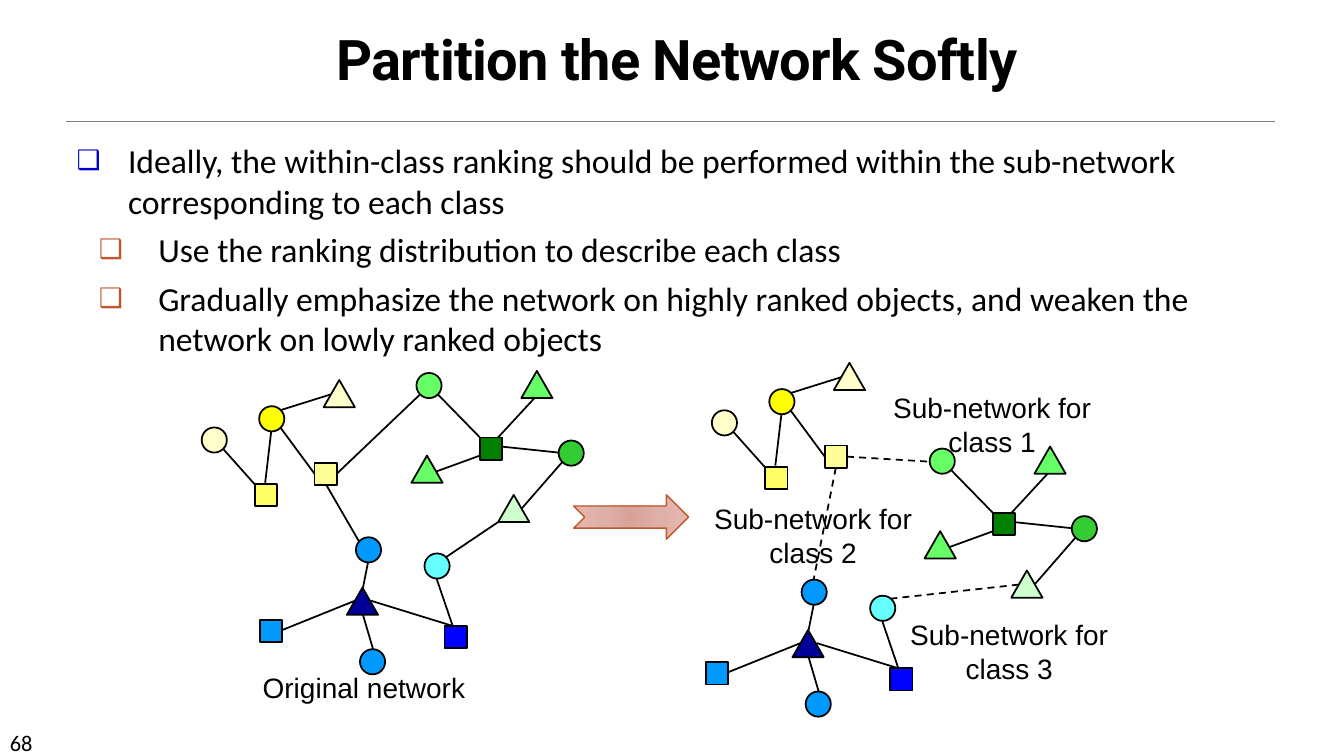
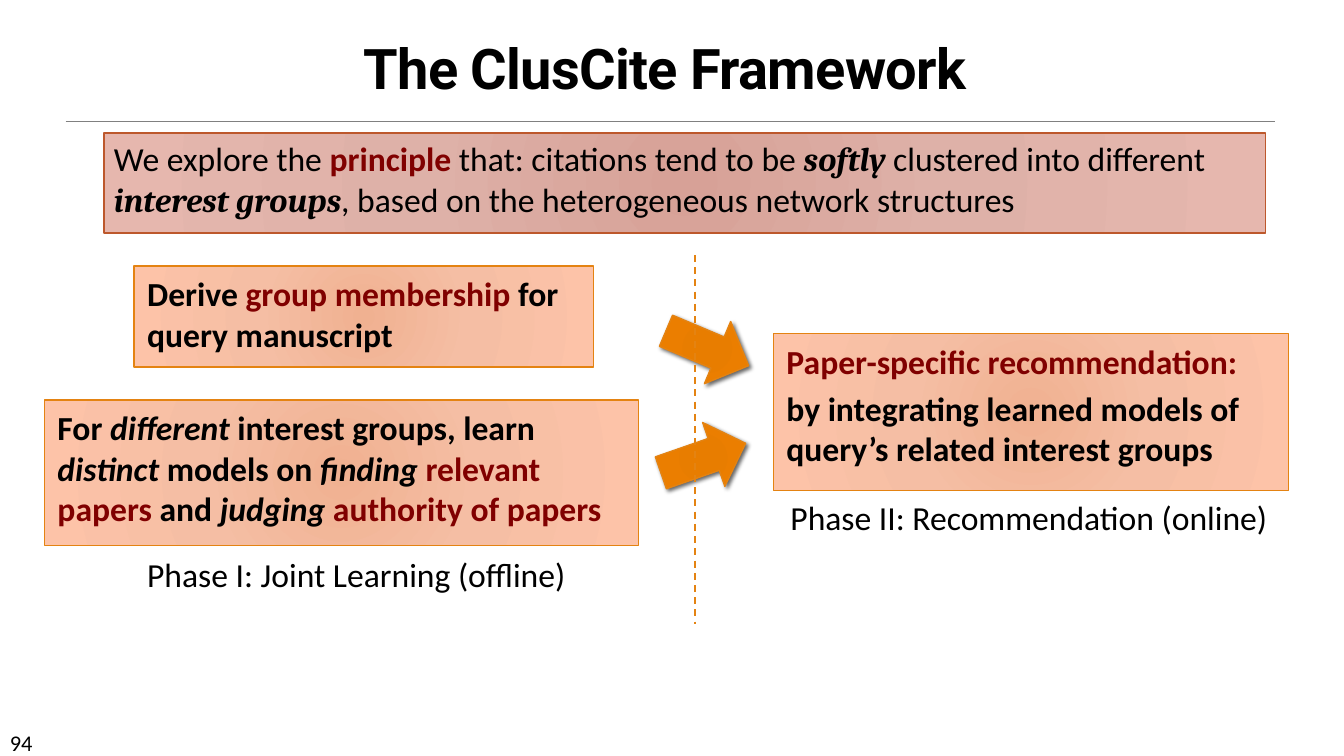
from pptx import Presentation
from pptx.dml.color import RGBColor
from pptx.enum.dml import MSO_LINE
from pptx.enum.shapes import MSO_CONNECTOR, MSO_SHAPE
from pptx.enum.text import MSO_ANCHOR, MSO_AUTO_SIZE, PP_ALIGN
from pptx.oxml.ns import qn
from pptx.util import Inches, Pt
from lxml.etree import SubElement

hue = RGBColor.from_string
BLACK, RED = "000000", "800000"
RUST, AMBER = "BD582C", "E48312"
ROSE = [(0, "D7A197"), (45, "DEB1A8"), (100, "E6B7AE")]
PEACH = [(0, "F0B191"), (45, "F5BEA4"), (100, "FDC3A8")]
FLAME = [(0, "E57B00"), (34, "E87D00"), (70, "EB7E00"), (100, "EF8407")]


def write(par, *parts, size=24, face="Calibri", bold=False, gap=0):
    par.space_before = Pt(gap)
    font = par.font
    font.size, font.name, font.bold = Pt(size), face, bold
    font.color.rgb = hue(BLACK)
    for part in parts:
        style, _, words = part.rpartition("|")
        run = par.add_run()
        run.text = words
        if "b" in style:
            run.font.bold = True
        if "i" in style:
            run.font.italic = True
        if "r" in style:
            run.font.color.rgb = hue(RED)
        if "c" in style:
            run.font.name = "Cambria"


def link(slide, ends, tint=BLACK, width=1.25, dash=False):
    line = slide.shapes.add_connector(MSO_CONNECTOR.STRAIGHT, *map(Inches, ends))
    line.line.color.rgb = hue(tint)
    line.line.width = Pt(width)
    if dash:
        line.line.dash_style = MSO_LINE.DASH
    SubElement(line._element.spPr, qn("a:effectLst"))


deck = Presentation()
deck.slide_width, deck.slide_height = Inches(13.33), Inches(7.5)

slides, bodies = [], []
for name, page, left, top, place in [
    ("Partition the Network Softly", "68", 0.5, 0.15, (0.66, 1.34, 12.04, 2.31)),
    ("The ClusCite Framework", "94", 0.38, 0.24, (1.03, 1.32, 11.52, 0.99)),
]:
    slide = deck.slides.add_slide(deck.slide_layouts[1])
    link(slide, (0.65, 1.2, 12.65, 1.2), "808080", 0.5)
    title, body = slide.placeholders
    title.left, title.top, title.width, title.height = map(Inches, (left, top, 12.43, 0.81))
    title.text_frame.vertical_anchor = MSO_ANCHOR.BOTTOM
    title.text_frame.auto_size = MSO_AUTO_SIZE.NONE
    par = title.text_frame.paragraphs[0]
    par.alignment, par.line_spacing = PP_ALIGN.CENTER, 0.85
    write(par, name, size=40, face="Roboto", bold=True)
    par.runs[0]._r.get_or_add_rPr().set("spc", "-50")
    body.left, body.top, body.width, body.height = map(Inches, place)
    body.text_frame.auto_size = MSO_AUTO_SIZE.NONE
    foot = slide.shapes.add_textbox(0, Inches(7.18), Inches(1.17), Inches(0.3))
    write(foot.text_frame.paragraphs[0], page, size=16)
    slides.append(slide)
    bodies.append(body)

soft, frame = slides
glows = []

points = [
    (0, "Ideally, the within-class ranking should be performed within the sub-network corresponding to each class"),
    (1, "Use the ranking distribution to describe each class"),
    (1, "Gradually emphasize the network on highly ranked objects, and weaken the network on lowly ranked objects"),
]
text = bodies[0].text_frame
for rank, (level, words) in enumerate(points):
    par = text.add_paragraph() if rank else text.paragraphs[0]
    par.level = level
    margin, hang, tint = [(0.51, 0.51, "0000CC"), (0.81, 0.59, RUST)][level]
    props = par._p.get_or_add_pPr()
    props.set("marL", str(Inches(margin)))
    props.set("indent", str(-Inches(hang)))
    SubElement(SubElement(props, qn("a:buClr")), qn("a:srgbClr"), val=tint)
    SubElement(props, qn("a:buSzPct"), val="80000")
    SubElement(props, qn("a:buChar"), char="❑")
    write(par, words, gap=6 if rank else 0)

for words, left, top, width, height in [
    ("Original network", 2.42, 6.6, 2.38, 0.44),
    ("Sub-network for class 1", 8.68, 3.83, 2.32, 0.77),
    ("Sub-network for class 2", 6.88, 4.93, 2.37, 0.77),
    ("Sub-network for class 3", 8.86, 6.08, 2.3, 0.77),
]:
    label = soft.shapes.add_textbox(*map(Inches, (left, top, width, height)))
    label.text_frame.word_wrap = True
    par = label.text_frame.paragraphs[0]
    par.alignment = PP_ALIGN.CENTER
    write(par, words, size=20, face="Arial")

notch = soft.shapes.add_shape(
    MSO_SHAPE.NOTCHED_RIGHT_ARROW, *map(Inches, (5.69, 4.91, 1.14, 0.44)))
glows.append((notch, ROSE, RUST))

for ends in [(3.56, 5.37, 3.23, 4.8), (4.17, 3.91, 3.34, 4.7), (4.42, 5.53, 4.94, 5.18)]:
    link(soft, ends)
for ends in [(8.4, 4.53, 9.22, 4.58), (8.83, 5.94, 10.1, 5.8), (8.29, 4.64, 8.07, 5.75)]:
    link(soft, ends, dash=True)

kinds = {
    "dot": (MSO_SHAPE.OVAL, 0.25, 0.25),
    "box": (MSO_SHAPE.RECTANGLE, 0.22, 0.22),
    "peak": (MSO_SHAPE.ISOSCELES_TRIANGLE, 0.31, 0.27),
}
groups = [
    ((5.06, -0.17), [
        (2.69, 4.28, 2.63, 4.79), (2.78, 4.07, 3.29, 3.91),
        (2.54, 4.82, 2.21, 4.45), (3.12, 4.7, 2.78, 4.24),
    ], [
        ("dot", 2.57, 4.03, "FFFF00"), ("dot", 2, 4.24, "FFFFCC"),
        ("box", 3.12, 4.59, "FFFF99"), ("box", 2.53, 4.8, "FFFF66"),
        ("peak", 3.21, 3.77, "FFFFCC"),
    ]),
    ((5.09, 0.75), [
        (4.34, 3.91, 4.76, 4.34), (4.32, 4.68, 4.76, 4.52), (4.94, 4.34, 5.3, 3.95),
        (4.97, 4.43, 5.54, 4.49), (5.17, 5.05, 5.58, 4.58),
    ], [
        ("dot", 4.13, 3.7, "66FF66"), ("dot", 5.54, 4.37, "33CC33"),
        ("box", 4.76, 4.34, "008000"), ("peak", 4.08, 4.52, "66FF66"),
        ("peak", 5.17, 3.68, "66FF66"), ("peak", 4.94, 4.91, "CCFFCC"),
    ]),
    ((4.42, 0.42), [
        (3.52, 5.96, 2.8, 6.25), (3.7, 6.44, 3.6, 6.1), (4.49, 6.21, 3.68, 5.96),
        (4.49, 6.21, 4.33, 5.74), (3.6, 5.83, 3.65, 5.58),
    ], [
        ("dot", 4.21, 5.49, "66FFFF"), ("dot", 3.57, 6.44, "0099FF"),
        ("peak", 3.44, 5.83, "000099"), ("box", 4.41, 6.21, "0000FF"),
        ("box", 2.58, 6.15, "0099FF"), ("dot", 3.53, 5.33, "0099FF"),
    ]),
]
for shift, links, nodes in groups:
    for right, down in [(0, 0), shift]:
        for x1, y1, x2, y2 in links:
            link(soft, (x1 + right, y1 + down, x2 + right, y2 + down))
        for kind, left, top, tint in nodes:
            form, width, height = kinds[kind]
            node = soft.shapes.add_shape(
                form, *map(Inches, (left + right, top + down, width, height)))
            node.shadow.inherit = False
            node.fill.solid()
            node.fill.fore_color.rgb = hue(tint)
            node.line.color.rgb = hue(BLACK)
            node.line.width = Pt(1.25)

par = bodies[1].text_frame.paragraphs[0]
props = par._p.get_or_add_pPr()
props.set("marL", "0")
props.set("indent", "0")
SubElement(props, qn("a:buNone"))
write(par, "We explore the ", "br|principle ", "that: citations tend to be ", "bic|softly ",
      "clustered into different ", "bic|interest groups",
      ", based on the heterogeneous network structures")
glows.append((bodies[1], ROSE, RUST))

for left, top, turn in [(6.57, 3.12, 22.9), (6.53, 4.21, 340.8)]:
    arrow = frame.shapes.add_shape(
        MSO_SHAPE.RIGHT_ARROW, *map(Inches, (left, top, 0.89, 0.67)))
    arrow.rotation = turn
    glows.append((arrow, FLAME, AMBER))
link(frame, (6.89, 2.53, 6.89, 6.19), AMBER, dash=True)

for place, filled, lines in [
    ((1.33, 2.64, 4.56, 1), True,
     [("Derive ", "r|group membership ", "for query manuscript")]),
    ((0.44, 3.97, 5.89, 1.44), True,
     [("For ", "i|different ", "interest groups, learn ", "i|distinct ", "models on ",
       "i|finding ", "r|relevant papers ", "and ", "i|judging ", "r|authority of papers")]),
    ((7.67, 3.31, 5.11, 1.56), True,
     [("r|Paper-specific recommendation:",),
      ("by integrating learned models of query’s related interest groups",)]),
    ((1.33, 5.43, 4.46, 0.54), False, [("Phase I: Joint Learning (offline)",)]),
    ((7.71, 4.86, 5.06, 0.54), False, [("Phase II: Recommendation (online)",)]),
]:
    spot = map(Inches, place)
    if filled:
        panel = frame.shapes.add_shape(MSO_SHAPE.RECTANGLE, *spot)
        glows.append((panel, PEACH, AMBER))
    else:
        panel = frame.shapes.add_textbox(*spot)
    text = panel.text_frame
    text.word_wrap = filled
    text.vertical_anchor = MSO_ANCHOR.TOP
    text.margin_left = text.margin_right = Inches(0.13)
    text.margin_top = text.margin_bottom = Inches(0.07)
    for rank, parts in enumerate(lines):
        par = text.add_paragraph() if rank else text.paragraphs[0]
        par.alignment = PP_ALIGN.LEFT
        write(par, *parts, bold=filled, gap=4.8 if rank else 0)

for shape, stops, edge in glows:
    shape.shadow.inherit = False
    shape.line.color.rgb = hue(edge)
    shape.line.width = Pt(1)
    shape.fill.gradient()
    props = shape._element.spPr
    grad = props.find(qn("a:gradFill"))
    grad.clear()
    ramp = SubElement(grad, qn("a:gsLst"))
    for spot, tint in stops:
        stop = SubElement(ramp, qn("a:gs"), pos=str(spot * 1000))
        SubElement(stop, qn("a:srgbClr"), val=tint)
    round_ = SubElement(grad, qn("a:path"), {"path": "circle"})
    SubElement(round_, qn("a:fillToRect"), dict.fromkeys("ltrb", "100000"))
    if stops is FLAME:
        shade = SubElement(props.find(qn("a:effectLst")), qn("a:outerShdw"),
                           blurRad=str(Pt(3)), dist=str(Pt(2)), dir=str(45 * 60000))
        dark = SubElement(shade, qn("a:srgbClr"), val=BLACK)
        SubElement(dark, qn("a:alpha"), val="60000")

deck.save("out.pptx")
